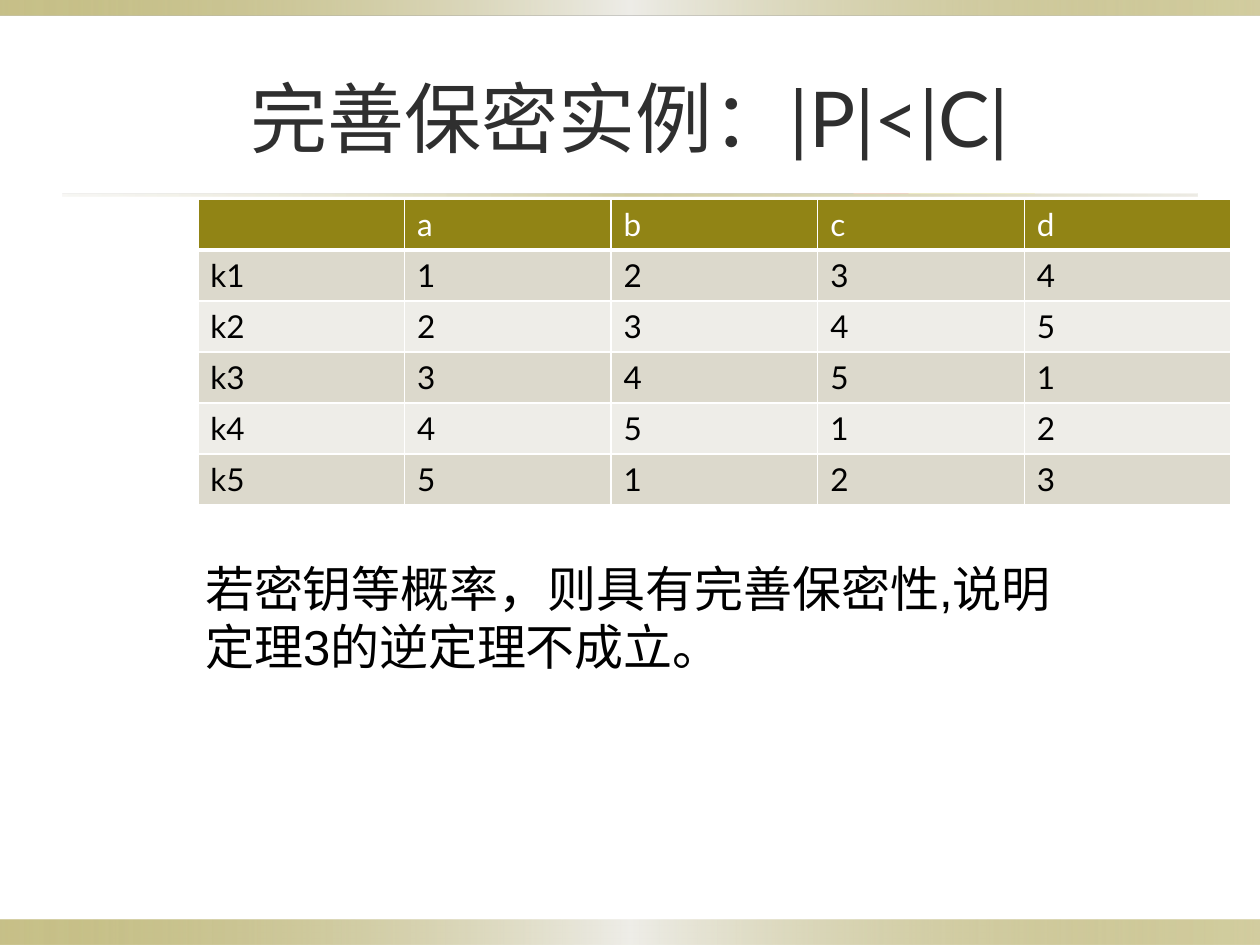
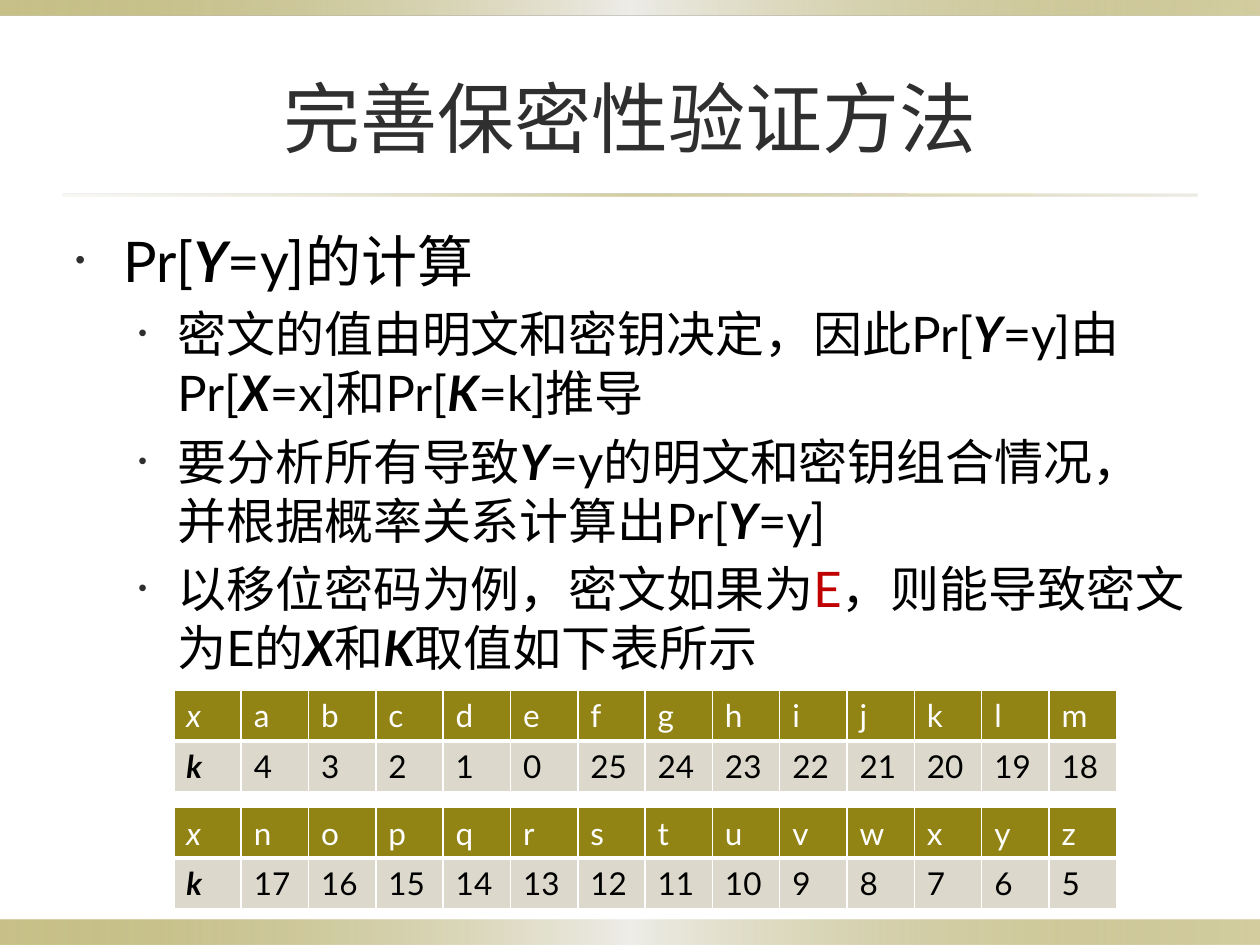
from dataclasses import dataclass

from lxml import etree
from pptx import Presentation
from pptx.dml.color import RGBColor
from pptx.enum.shapes import MSO_SHAPE
from pptx.enum.text import MSO_ANCHOR, PP_ALIGN
from pptx.oxml.ns import qn
from pptx.util import Inches, Pt

RECTANGLE = MSO_SHAPE.RECTANGLE
TOP, MIDDLE = MSO_ANCHOR.TOP, MSO_ANCHOR.MIDDLE
LEFT, CENTER = PP_ALIGN.LEFT, PP_ALIGN.CENTER


@dataclass(frozen=True)
class Theme:
    olive: str = "918415"
    stone: str = "DCD9CC"
    pale: str = "EEEDE8"
    white: str = "FFFFFF"
    black: str = "000000"
    charcoal: str = "2F2F2F"
    red: str = "C00000"
    font: str = "Lato"
    note_font: str = "Arial"
    title_size: int = 44
    topic_size: int = 32
    point_size: int = 28
    cell_size: int = 18


THEME = Theme()
BAND_STOPS = [(0, THEME.olive, 50), (50, THEME.pale, 100), (100, THEME.olive, 40)]
RULE_STOPS = [(0, THEME.stone, 20), (50, THEME.olive, 40), (100, THEME.stone, 50)]
VARIABLE = {"bold": True, "italic": True}
LEVELS = [(0.38, -0.38, THEME.topic_size), (0.81, -0.31, THEME.point_size)]


def add_element(parent, tag, **attributes):
    element = etree.SubElement(parent, qn(tag))
    for key, value in attributes.items():
        element.set(key, str(value))
    return element


def add_text(paragraph, text, size=THEME.cell_size, color=THEME.black,
             font=THEME.font, bold=False, italic=False):
    run = paragraph.add_run()
    run.text = text
    run.font.size = Pt(size)
    run.font.name = font
    run.font.bold = bold
    run.font.italic = italic
    run.font.color.rgb = RGBColor.from_string(color)


def add_frame(slide, left, top, width, height, anchor=TOP):
    frame = slide.shapes.add_textbox(
        Inches(left), Inches(top), Inches(width), Inches(height)).text_frame
    frame.word_wrap = True
    frame.vertical_anchor = anchor
    return frame


def add_gradient_bar(slide, left, top, width, height, stops):
    bar = slide.shapes.add_shape(
        RECTANGLE, Inches(left), Inches(top), Inches(width), Inches(height))
    bar.shadow.inherit = False
    bar.line.fill.background()
    bar.fill.gradient()
    bar.fill.gradient_angle = 0
    stop_list = bar.fill._xPr.find(qn("a:gradFill")).find(qn("a:gsLst"))
    for default_stop in list(stop_list):
        stop_list.remove(default_stop)
    for position, color, opacity in stops:
        stop = add_element(stop_list, "a:gs", pos=position * 1000)
        tint = add_element(stop, "a:srgbClr", val=color)
        if opacity < 100:
            add_element(tint, "a:alpha", val=opacity * 1000)


def add_titled_slide(deck, title):
    slide = deck.slides.add_slide(deck.slide_layouts[6])
    add_gradient_bar(slide, 0, 7.3, 10, 0.2, BAND_STOPS)
    add_gradient_bar(slide, 0, 0, 10, 0.12, BAND_STOPS)
    add_gradient_bar(slide, 0.5, 1.54, 9, 0.02, RULE_STOPS)
    heading = add_frame(slide, 0.5, 0.3, 9, 1.25, MIDDLE).paragraphs[0]
    heading.alignment = CENTER
    add_text(heading, title, size=THEME.title_size, color=THEME.charcoal)
    return slide


def add_bullet(paragraph, level, runs, first):
    margin, indent, size = LEVELS[level]
    paragraph.level = level
    paragraph.alignment = LEFT
    if not first:
        paragraph.space_before = Pt(size * 0.2)
    properties = paragraph._p.get_or_add_pPr()
    properties.set("marL", str(Inches(margin)))
    properties.set("indent", str(Inches(indent)))
    bullet_color = add_element(properties, "a:buClr")
    add_element(bullet_color, "a:srgbClr", val=THEME.charcoal)
    add_element(properties, "a:buSzPct", val=50000)
    add_element(properties, "a:buFont", typeface=THEME.note_font)
    add_element(properties, "a:buChar", char="•")
    for text, style in runs:
        add_text(paragraph, text, size=size, **style)


def add_borders(cell, bottom):
    properties = cell._tc.get_or_add_tcPr()
    for side, width in (("L", 1), ("R", 1), ("T", 1), ("B", bottom)):
        border = add_element(properties, f"a:ln{side}", w=Pt(width))
        fill = add_element(border, "a:solidFill")
        add_element(fill, "a:srgbClr", val=THEME.white)


def add_grid(slide, left, top, width, height, rows, anchor=TOP, header_rule=1,
             label_styles=()):
    grid = slide.shapes.add_table(
        len(rows), len(rows[0]), Inches(left), Inches(top),
        Inches(width), Inches(height)).table
    for column in grid.columns:
        column.width = Inches(width / len(rows[0]))
    for row_index, values in enumerate(rows):
        grid.rows[row_index].height = Inches(height / len(rows))
        is_header = row_index == 0
        band = THEME.stone if row_index % 2 else THEME.pale
        for column_index, value in enumerate(values):
            cell = grid.cell(row_index, column_index)
            cell.vertical_anchor = anchor
            add_borders(cell, header_rule if is_header else 1)
            cell.fill.solid()
            cell.fill.fore_color.rgb = RGBColor.from_string(
                THEME.olive if is_header else band)
            is_label = column_index == 0 and label_styles
            style = label_styles[row_index] if is_label else {}
            if value != "":
                add_text(cell.text_frame.paragraphs[0], str(value),
                         color=THEME.white if is_header else THEME.black, **style)


def build_example_slide(deck):
    slide = add_titled_slide(deck, "完善保密实例：|P|<|C|")
    plaintexts = "abcd"
    ciphertext_count = 5
    rows = [["", *plaintexts]]
    for key in range(ciphertext_count):
        rows.append([f"k{key + 1}"] + [(key + shift) % ciphertext_count + 1
                                       for shift in range(len(plaintexts))])
    add_grid(slide, 1.57, 1.58, 8.2, 2.43, rows, header_rule=3)
    conclusion = add_frame(slide, 1.53, 4.38, 7.09, 1.04).paragraphs[0]
    add_text(conclusion, "若密钥等概率，则具有完善保密性,说明定理3的逆定理不成立。",
             size=THEME.point_size, font=THEME.note_font)


def build_verification_slide(deck):
    slide = add_titled_slide(deck, "完善保密性验证方法")
    points = [
        (0, [("Pr[", {}), ("Y", VARIABLE), ("=y]的计算", {})]),
        (1, [("密文的值由明文和密钥决定，因此Pr[", {}), ("Y", VARIABLE),
             ("=y]由Pr[", {}), ("X", VARIABLE), ("=x]和Pr[", {}),
             ("K", VARIABLE), ("=k]推导", {})]),
        (1, [("要分析所有导致", {}), ("Y", VARIABLE),
             ("=y的明文和密钥组合情况，并根据概率关系计算出Pr[", {}),
             ("Y", VARIABLE), ("=y]", {})]),
        (1, [("以移位密码为例，密文如果为", {}), ("E", {"color": THEME.red}),
             ("，则能导致密文为E的", {}), ("X", VARIABLE), ("和", {}),
             ("K", VARIABLE), ("取值如下表所示", {})]),
    ]
    body = add_frame(slide, 0.5, 1.75, 9, 5.13)
    for index, (level, runs) in enumerate(points):
        paragraph = body.add_paragraph() if index else body.paragraphs[0]
        add_bullet(paragraph, level, runs, first=index == 0)

    alphabet = "abcdefghijklmnopqrstuvwxyz"
    target = alphabet.index("e")
    for top, letters in ((5.48, alphabet[:13]), (6.41, alphabet[13:])):
        keys = [(target - alphabet.index(letter)) % len(alphabet)
                for letter in letters]
        add_grid(slide, 1.38, top, 7.48, 0.8, [["x", *letters], ["k", *keys]],
                 anchor=MIDDLE, header_rule=3,
                 label_styles=({"italic": True}, VARIABLE))


def main():
    deck = Presentation()
    deck.slide_width = Inches(10)
    deck.slide_height = Inches(7.5)
    build_example_slide(deck)
    build_verification_slide(deck)
    deck.save("out.pptx")


if __name__ == "__main__":
    main()
